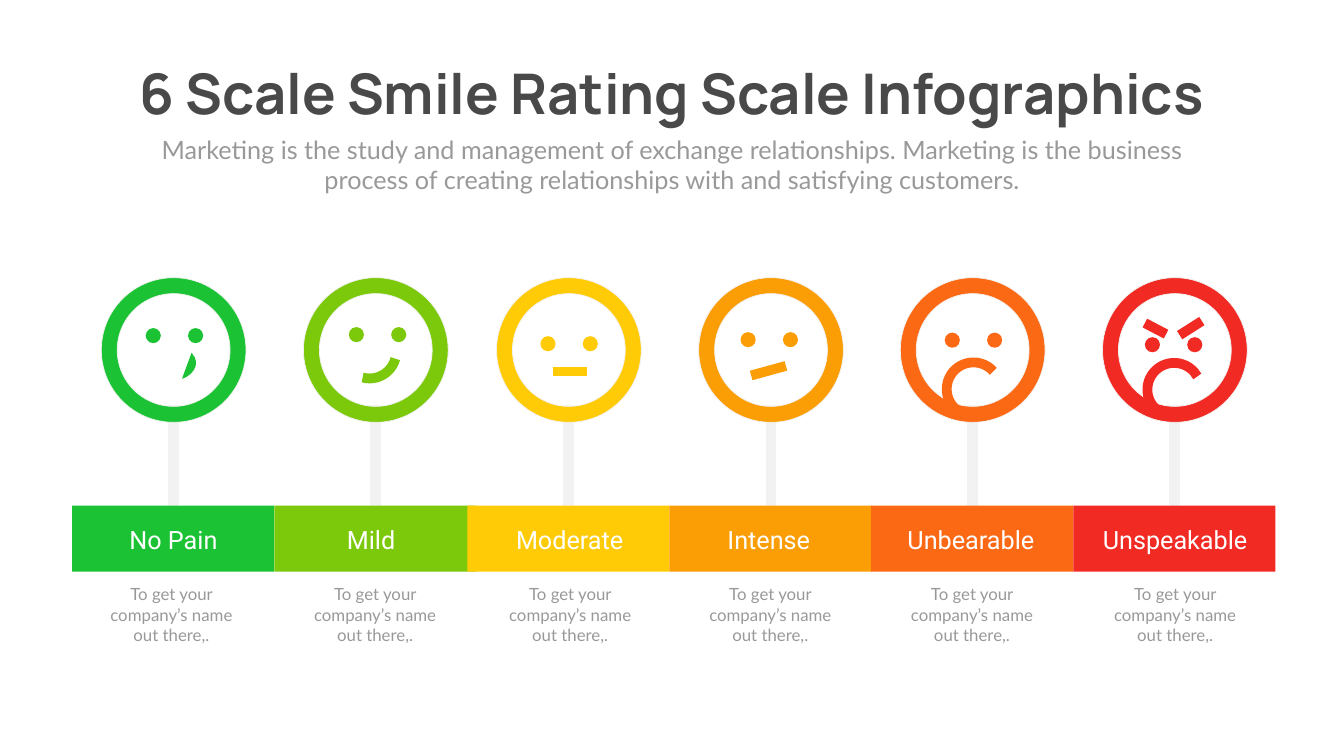
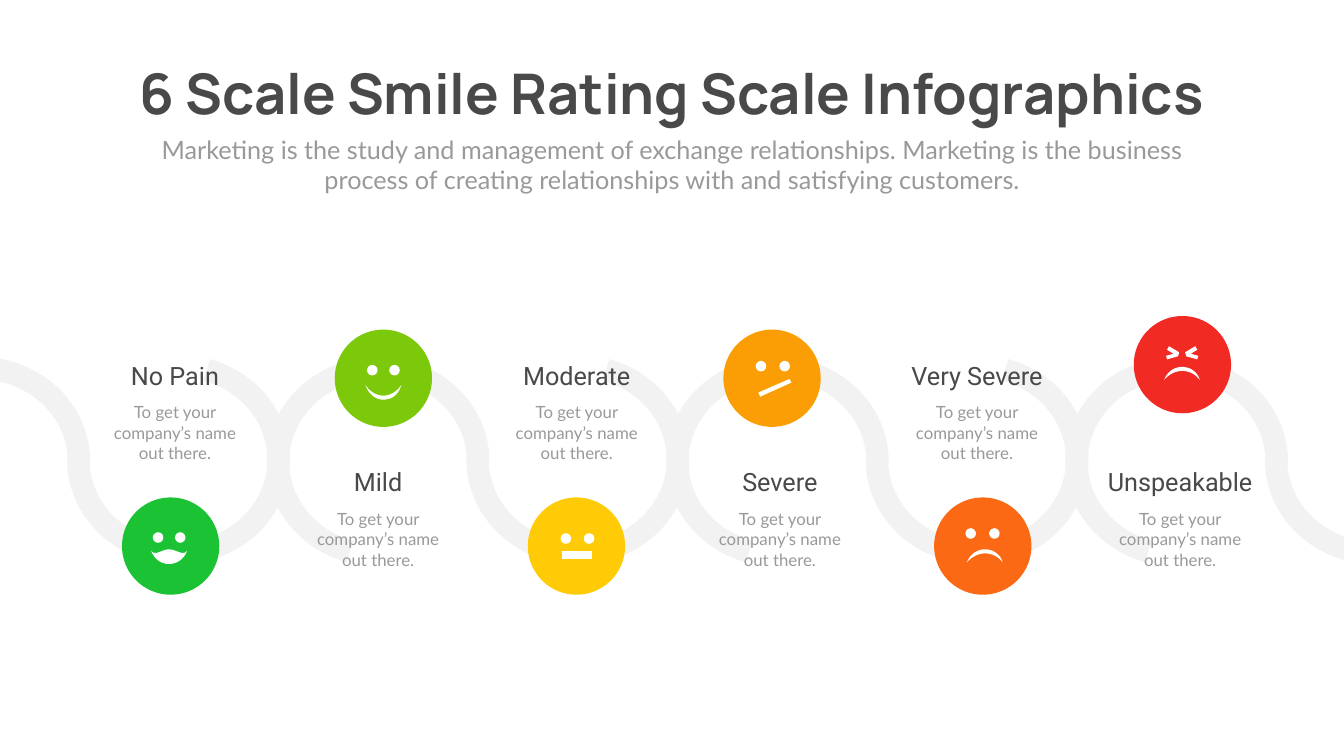
from dataclasses import dataclass

from lxml.etree import SubElement
from pptx import Presentation
from pptx.dml.color import RGBColor
from pptx.enum.shapes import MSO_CONNECTOR, MSO_SHAPE
from pptx.enum.text import MSO_AUTO_SIZE, PP_ALIGN
from pptx.oxml.ns import qn
from pptx.util import Inches, Pt

COLS, ROWS = 26.66, 15
DEGREE = 0.6


@dataclass(frozen=True)
class Theme:
    """Colours and text styles (font, size, colour, bold)."""
    white: str = "FFFFFF"
    pale: str = "F2F2F2"
    green: str = "1BC334"
    lime: str = "7CC90C"
    yellow: str = "FFCB07"
    amber: str = "FB9D04"
    orange: str = "FB6915"
    red: str = "F12A24"
    title: tuple = ("Manrope", 80, "494949", True)
    lead: tuple = ("Lato", 36, "999999", False)
    note: tuple = ("Lato", 24, "999999", False)
    name: tuple = ("Roboto", 36, "494949", False)
    name_on_band: tuple = ("Roboto", 36, "FFFFFF", False)


def put(obj, values):
    """Set attributes from a dict of format values."""
    for key, value in values.items():
        setattr(obj, key, value)


def curve(start, *cubics, steps=10):
    """Return the points along a chain of cubic curves."""
    points = [start]
    for x1, y1, x2, y2, x3, y3 in cubics:
        x0, y0 = points[-1]
        for i in range(1, steps + 1):
            t = i / steps
            a, b, c, d = (1 - t) ** 3, 3 * t * (1 - t) ** 2, 3 * t * t * (1 - t), t ** 3
            points.append((a * x0 + b * x1 + c * x2 + d * x3,
                           a * y0 + b * y1 + c * y2 + d * y3))
    return points


FROWN = curve((.36, 0), (.18, 0, .05, .12, 0, .26), (.08, .16, .22, .08, .36, .08),
              (.51, .08, .64, .16, .71, .26), (.67, .11, .53, 0, .36, 0))
SMILE = curve((.35, .21), (.21, .21, .08, .12, 0, 0), (.05, .16, .19, .29, .35, .29),
              (.53, .29, .66, .18, .71, 0), (.63, .12, .5, .21, .35, .21))
GRIN = curve((.35, 0), (.21, 0, .08, .14, 0, .03), (.05, .18, .19, .29, .35, .29),
             (.52, .29, .66, .18, .71, .03), (.63, .14, .5, 0, .35, 0))
SLASH = [(0, .27), (.04, .35), (.66, .07), (.62, 0)]
SQUINT = [(.02, .26), (.24, .2), (.26, .12), (.06, 0), (.02, .07), (.15, .15), (0, .19)]
SQUINT_BACK = [(.25 - x, y) for x, y in SQUINT]


class Deck:
    """Holds the theme, the grid and the current slide."""

    def __init__(self, theme):
        self.theme = theme
        self.prs = Presentation()
        put(self.prs, {"slide_width": Inches(COLS), "slide_height": Inches(ROWS)})
        self.cell = self.prs.slide_height / ROWS

    def grid(self, *cells):
        """Turn grid columns or rows into lengths."""
        return [round(n * self.cell) for n in cells]

    def slide(self, title, lead):
        """Start a slide with its title and lead text."""
        self.s = self.prs.slides.add_slide(self.prs.slide_layouts[6])
        self.text(title, COLS / 2, 1.12, 22.81, 1.45, self.theme.title, wrap=False)
        self.text(lead, COLS / 2, 2.61, 20.82, 1.31, self.theme.lead)

    def text(self, words, centre, top, width, height, style, wrap=True):
        """Add centred text around a column."""
        box = self.grid(centre - width / 2, top, width, height)
        tf = self.s.shapes.add_textbox(*box).text_frame
        put(tf, {"word_wrap": wrap, "auto_size": MSO_AUTO_SIZE.SHAPE_TO_FIT_TEXT})
        p = tf.paragraphs[0]
        p.alignment = PP_ALIGN.CENTER
        r = p.add_run()
        r.text = words
        font, size, colour, bold = style
        put(r.font, {"name": font, "size": Pt(size), "bold": bold})
        r.font.color.rgb = RGBColor.from_string(colour)

    def paint(self, sp, fill=None, line=None, weight=1):
        """Set fill and outline, and drop the shadow."""
        sp.shadow.inherit = False
        for part, colour in ((sp.fill, fill), (sp.line.fill, line)):
            if colour:
                part.solid()
                part.fore_color.rgb = RGBColor.from_string(colour)
            else:
                part.background()
        if line:
            sp.line.width = Pt(weight)

    def shape(self, kind, x, y, w, h, fill=None, adjust=(), rotation=0, **outline):
        """Add a preset shape."""
        sp = self.s.shapes.add_shape(kind, *self.grid(x, y, w, h))
        for i, value in enumerate(adjust):
            sp.adjustments[i] = value
        sp.rotation = rotation
        self.paint(sp, fill, **outline)

    def arc(self, x, y, start, end, rotation, colour):
        """Add a thick open arc for a mouth."""
        self.shape(MSO_SHAPE.ARC, x, y, 1.06, 1.06, adjust=(start * DEGREE, end * DEGREE),
                   rotation=rotation, line=colour, weight=14)

    def line(self, x1, y1, x2, y2, colour, weight=14):
        """Add a straight line."""
        cx = self.s.shapes.add_connector(MSO_CONNECTOR.STRAIGHT, *self.grid(x1, y1, x2, y2))
        cx.line.color.rgb = RGBColor.from_string(colour)
        cx.line.width = Pt(weight)
        SubElement(cx._element.spPr, qn("a:effectLst"))

    def outline(self, points, x, y):
        """Add a white closed outline at a grid place."""
        start, *rest = [self.grid(x + dx, y + dy) for dx, dy in points]
        builder = self.s.shapes.build_freeform(*start)
        builder.add_line_segments(rest, close=True)
        self.paint(builder.convert_to_shape(), self.theme.white)

    def eyes(self, x, y, gap, size, colour):
        """Add a pair of round eyes."""
        for left in (x, x + gap):
            self.shape(MSO_SHAPE.OVAL, left, y, size, size, colour)

    def sign(self, name, note, colour, centre, label, width, note_centre, eyes):
        """Add a ring face on a post, its band, name and note."""
        self.line(centre, 10.36, centre, 8.03, self.theme.pale, 15)
        self.shape(MSO_SHAPE.RECTANGLE, centre - 2.01, 10.03, 4.01, 1.31, colour)
        self.shape(MSO_SHAPE.DONUT, centre - 1.43, 5.51, 2.87, 2.87, colour, (.11,),
                   line=self.theme.pale)
        self.eyes(*eyes, .84, .3, colour)
        self.text(name, label, 10.35, width, .71, self.theme.name_on_band)
        self.text(note, note_centre, 11.54, 2.7, 1.31, self.theme.note)

    def stop(self, name, note, colour, disc, centre, top, width):
        """Add a disc on the road with its name and note."""
        self.shape(MSO_SHAPE.OVAL, *disc, 1.93, 1.93, colour)
        self.text(name, centre, top, width, .71, self.theme.name)
        self.text(note, centre, top + .84, 2.7, 1.31, self.theme.note)


TITLE = "6 Scale Smile Rating Scale Infographics"
LEAD = ("Marketing is the study and management of exchange relationships. Marketing is "
        "the business process of creating relationships with and satisfying customers.")


def band_slide(deck):
    """Build the slide with signs above a colour band."""
    t = deck.theme
    deck.slide(TITLE, LEAD)
    signs = [
        ("No Pain", t.green, 3.44, 3.44, 2.01, 3.4, (2.89, 6.51)),
        ("Mild", t.lime, 7.45, 7.36, 2.01, 7.44, (6.92, 6.49)),
        ("Moderate", t.yellow, 11.28, 11.3, 2.59, 11.31, (10.72, 6.67)),
        ("Intense", t.amber, 15.29, 15.25, 2.01, 15.28, (14.69, 6.59)),
        ("Unbearable", t.orange, 19.29, 19.26, 3.54, 19.28, (18.74, 6.6)),
        ("Unspeakable", t.red, 23.3, 23.31, 3.5, 23.31, (22.71, 6.69)),
    ]
    for name, *rest in signs:
        deck.sign(name, "To get your company’s name out there,.", *rest)
    deck.shape(MSO_SHAPE.CHORD, 3.15, 6.8, .64, .84, t.green,
               (63.85 * DEGREE, 162 * DEGREE), 262.7)
    deck.arc(6.8, 6.45, 270, 0, 105, t.lime)
    deck.line(10.96, 7.37, 11.65, 7.37, t.yellow)
    deck.line(14.9, 7.45, 15.59, 7.26, t.amber)
    deck.arc(18.78, 7.19, 161.11, 0, 318.1, t.orange)
    deck.arc(22.76, 7.2, 145.97, 12.37, 318.1, t.red)
    deck.line(22.71, 6.41, 23.13, 6.63, t.red)
    deck.line(23.4, 6.65, 23.84, 6.37, t.red)


def road_slide(deck):
    """Build the slide with discs along a winding road."""
    t = deck.theme
    deck.slide(TITLE, LEAD)
    for i in range(8):
        deck.shape(MSO_SHAPE.BLOCK_ARC, 3.96 * i - 2.63, 7.04 if i % 2 else 7.08, 4.42, 4.16,
                   t.pale, (107.42 * DEGREE, .98 * DEGREE, .107), 180 * (i % 2))
    upper, lower = 7.09, 9.21
    stops = [
        ("No Pain", t.green, (2.42, 9.87), 3.47, upper, 2.62),
        ("Mild", t.lime, (6.64, 6.54), 7.5, lower, 2.62),
        ("Moderate", t.yellow, (10.47, 9.87), 11.44, upper, 2.62),
        ("Severe", t.amber, (14.35, 6.54), 15.47, lower, 2.62),
        ("Very Severe", t.orange, (18.53, 9.87), 19.38, upper, 3.06),
        ("Unspeakable", t.red, (22.49, 6.27), 23.41, lower, 3.13),
    ]
    for name, *rest in stops:
        deck.stop(name, "To get your company’s name out there.", *rest)
    for x, y, gap in ((3.03, 10.56, .44), (7.28, 7.24, .44), (11.12, 10.58, .46),
                      (14.99, 7.16, .47), (19.15, 10.48, .47)):
        deck.eyes(x, y, gap, .21, t.white)
    for points, x, y in ((GRIN, 3, 10.9), (SMILE, 7.25, 7.64), (SLASH, 15.04, 7.52),
                         (FROWN, 19.18, 10.9), (FROWN, 23.09, 7.28),
                         (SQUINT, 23.13, 6.87), (SQUINT_BACK, 23.52, 6.87)):
        deck.outline(points, x, y)
    deck.line(11.14, 11.01, 11.74, 11.01, t.white, 12)


def main():
    """Build and save the deck."""
    deck = Deck(Theme())
    band_slide(deck)
    road_slide(deck)
    deck.prs.save("out.pptx")


if __name__ == "__main__":
    main()
